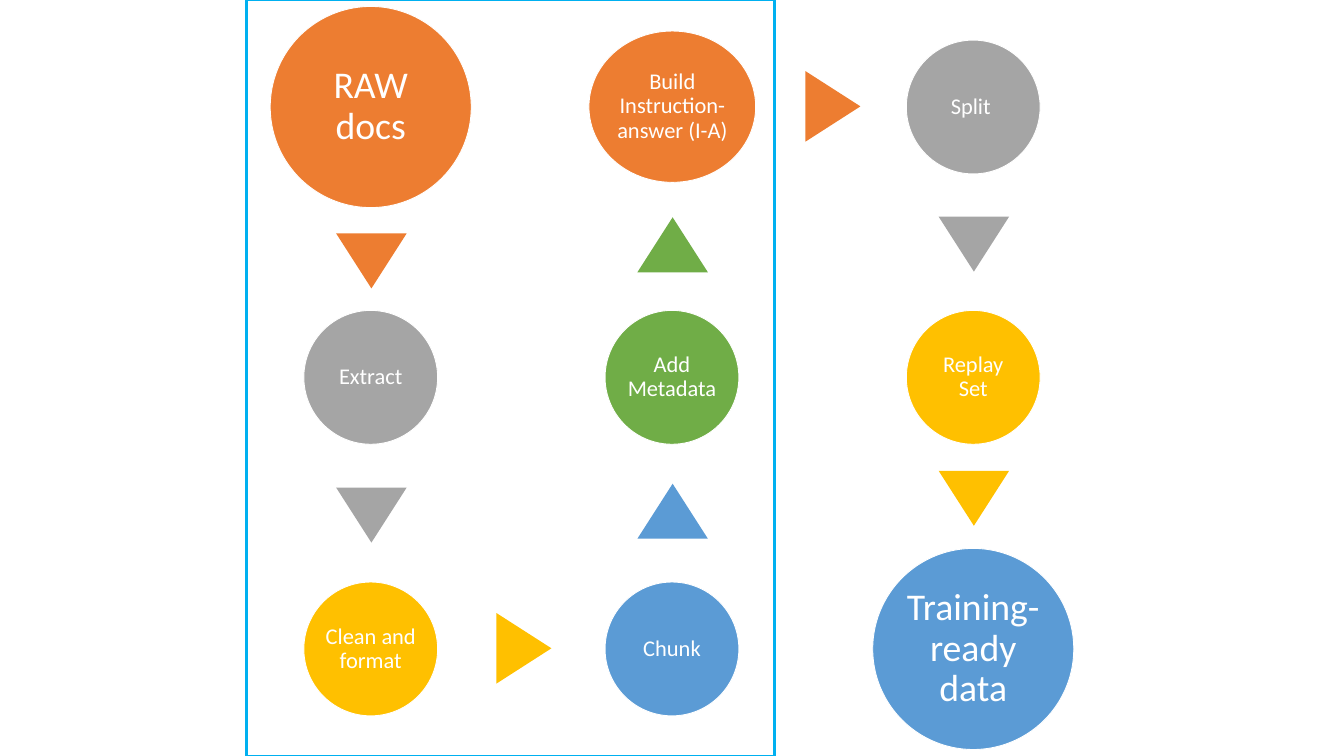
import pptx
import pptx.util
import pptx.dml.color
import pptx.enum.shapes
import pptx.enum.text

PX = 9144  # EMU per px, 100 px to the inch
SHAPES = pptx.enum.shapes.MSO_SHAPE
COLOURS = {
    "orange": "ED7D31", "grey": "A5A5A5", "yellow": "FFC000",
    "blue": "5B9BD5", "green": "70AD47", "white": "FFFFFF", "frame": "00B0F0",
}
COLUMN_CENTRES = [574 + 466 * column for column in range(3)]
ROW_CENTRES = [165 + 419 * row for row in range(3)]
ARROW_WIDTH, ARROW_HEIGHT, ARROW_SHIFT = 109, 85, 3

# text, column, row, width, height, font size, colour; in order of flow
STEPS = [
    ("RAW docs", 0, 0, 311, 311, 42, "orange"),
    ("Extract", 0, 1, 207, 207, 25, "grey"),
    ("Clean and format", 0, 2, 207, 207, 25, "yellow"),
    ("Chunk", 1, 2, 207, 207, 25, "blue"),
    ("Add Metadata", 1, 1, 207, 207, 25, "green"),
    ("Build Instruction-answer (I-A)", 1, 0, 258, 234, 25, "orange"),
    ("Split ", 2, 0, 207, 207, 25, "grey"),
    ("Replay Set", 2, 1, 207, 207, 25, "yellow"),
    ("Training-ready data", 2, 2, 311, 311, 42, "blue"),
]


def rgb(name):
    return pptx.dml.color.RGBColor.from_string(COLOURS[name])


def add_centred(kind, x, y, width, height, colour):
    """Add a filled shape whose centre is at x, y."""
    left, top = round(x - width / 2), round(y - height / 2)
    shape = slide.shapes.add_shape(kind, left * PX, top * PX, width * PX, height * PX)
    shape.shadow.inherit = False
    shape.fill.solid()
    shape.fill.fore_color.rgb = rgb(colour)
    return shape


deck = pptx.Presentation()
deck.slide_width, deck.slide_height = 2079 * PX, 1169 * PX
slide = deck.slides.add_slide(deck.slide_layouts[6])

for text, column, row, width, height, size, colour in STEPS:
    circle = add_centred(SHAPES.OVAL, COLUMN_CENTRES[column], ROW_CENTRES[row], width, height, colour)
    circle.line.color.rgb = rgb("white")
    circle.line.width = pptx.util.Pt(1)
    frame = circle.text_frame
    frame.word_wrap = True
    frame.vertical_anchor = pptx.enum.text.MSO_ANCHOR.MIDDLE
    inset = (6 if size == 42 else 3) * PX
    frame.margin_left = frame.margin_right = inset
    frame.margin_top = frame.margin_bottom = inset
    frame.text = text
    para = frame.paragraphs[0]
    para.alignment = pptx.enum.text.PP_ALIGN.CENTER
    para.line_spacing = 0.9
    font = para.runs[0].font
    font.name = "Calibri"
    font.size = pptx.util.Pt(size)
    font.color.rgb = rgb("white")

# Each arrow sits midway between two circles, slightly towards the second
for start, end in zip(STEPS, STEPS[1:]):
    _, column, row, width, height, _, colour = start
    _, next_column, next_row, next_width, next_height, _, _ = end
    x, y = COLUMN_CENTRES[column], ROW_CENTRES[row]
    if next_column > column and next_row == row:
        x = (x + width / 2 + COLUMN_CENTRES[next_column] - next_width / 2) / 2 + ARROW_SHIFT
        rotation = 90
    else:
        way = next_row - row
        y = (y + way * height / 2 + ROW_CENTRES[next_row] - way * next_height / 2) / 2
        y += way * ARROW_SHIFT
        rotation = 180 if way > 0 else 0
    arrow = add_centred(SHAPES.ISOSCELES_TRIANGLE, x, y, ARROW_WIDTH, ARROW_HEIGHT, colour)
    arrow.line.fill.background()
    arrow.rotation = rotation

border = slide.shapes.add_shape(SHAPES.RECTANGLE, 381 * PX, 0, 817 * PX, 1169 * PX)
border.shadow.inherit = False
border.fill.background()
border.line.color.rgb = rgb("frame")
border.line.width = pptx.util.Pt(3)

deck.save("out.pptx")
